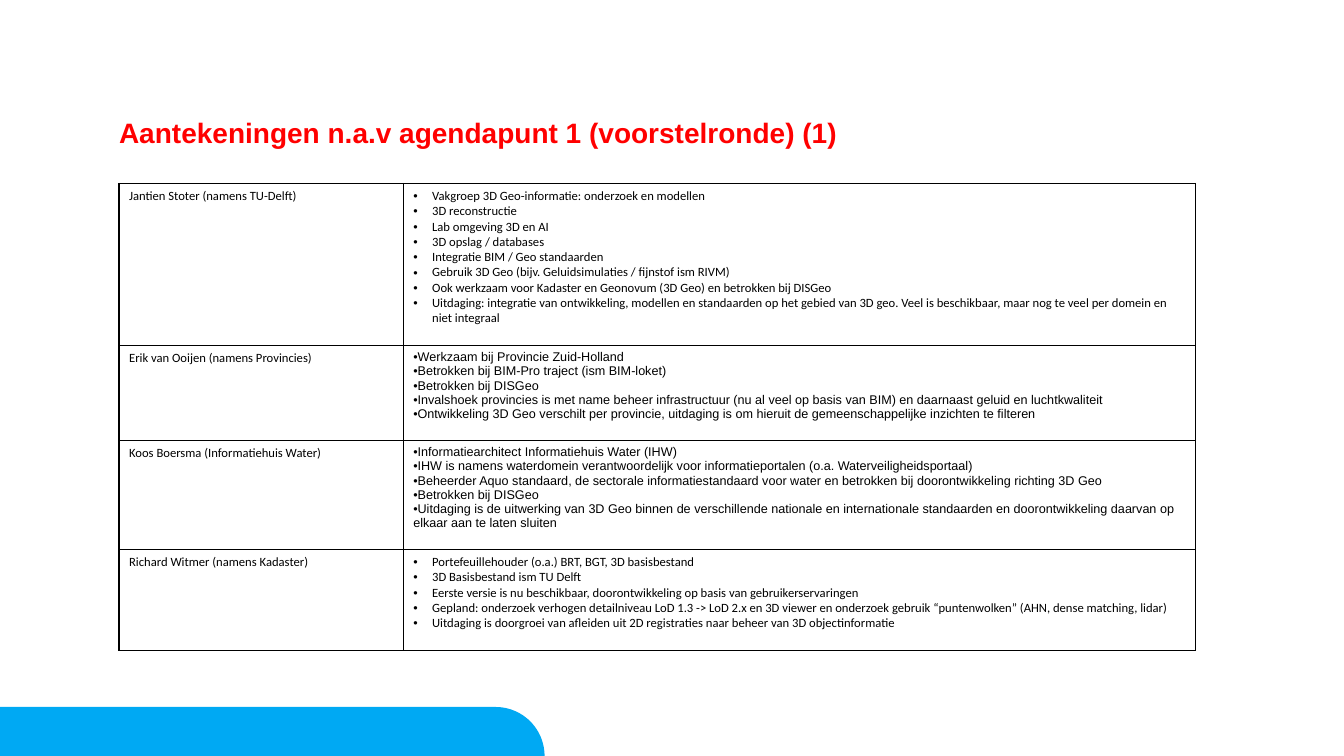
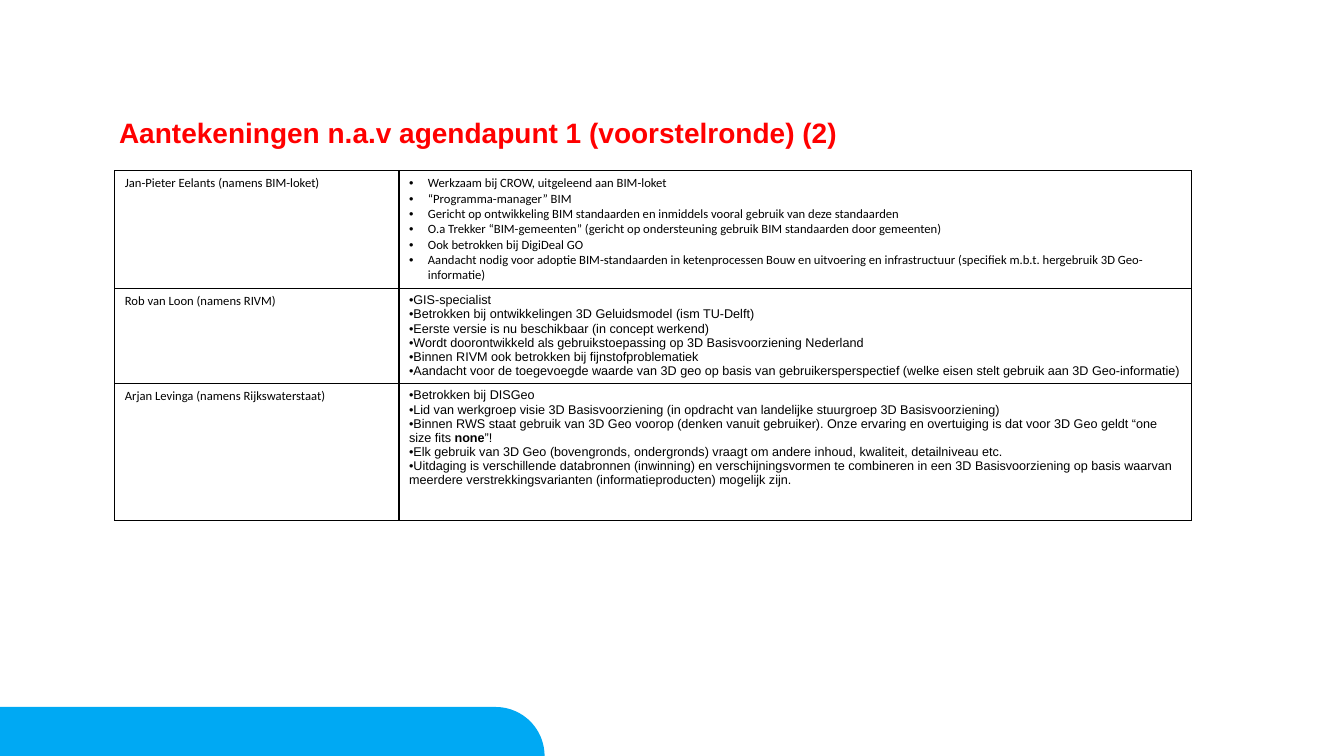
from collections import namedtuple
from math import cos, pi, sin

from lxml.etree import SubElement
from pptx import Presentation
from pptx.dml.color import RGBColor
from pptx.enum.text import MSO_ANCHOR, MSO_AUTO_SIZE, PP_ALIGN
from pptx.oxml.ns import qn
from pptx.util import Pt

Box = namedtuple("Box", "left top width height")
ListStyle = namedtuple("ListStyle", "font margin indent")
Speaker = namedtuple("Speaker", "name style height notes")

PAGE_WIDTH, PAGE_HEIGHT = 960, 540
TITLE_BOX = Box(85, 85, 790, 57)
BAND_BOX = Box(0, 505, 389, 35)
COLUMN_WIDTHS = (203, 566)
RED, BLUE, BLACK = "FF0000", "00A9F3", "000000"
TITLE_FONT, NAME_FONT = "Arial", "Calibri"
TITLE_SIZE, TABLE_SIZE = 20, 9
HANGING = ListStyle("Calibri", 13.5, -13.5)
FLUSH = ListStyle("Arial", 0, -14.4)

FIRST_ROUND = [
    Speaker("Jantien Stoter (namens TU-Delft)", HANGING, 115.7, [
        "Vakgroep 3D Geo-informatie: onderzoek en modellen",
        "3D reconstructie",
        "Lab omgeving 3D en AI",
        "3D opslag / databases",
        "Integratie BIM / Geo standaarden",
        "Gebruik 3D Geo (bijv. Geluidsimulaties / fijnstof ism RIVM)",
        "Ook werkzaam voor Kadaster en Geonovum (3D Geo) en betrokken bij DISGeo",
        "Uitdaging: integratie van ontwikkeling, modellen en standaarden op het gebied van 3D geo. "
        "Veel is beschikbaar, maar nog te veel per domein en niet integraal",
    ]),
    Speaker("Erik van Ooijen (namens Provincies)", FLUSH, 67.9, [
        "Werkzaam bij Provincie Zuid-Holland",
        "Betrokken bij BIM-Pro traject (ism BIM-loket)",
        "Betrokken bij DISGeo",
        "Invalshoek provincies is met name beheer infrastructuur (nu al veel op basis van BIM) "
        "en daarnaast geluid en luchtkwaliteit",
        "Ontwikkeling 3D Geo verschilt per provincie, uitdaging is om hieruit de "
        "gemeenschappelijke inzichten te filteren",
    ]),
    Speaker("Koos Boersma (Informatiehuis Water)", FLUSH, 77.9, [
        "Informatiearchitect Informatiehuis Water (IHW)",
        "IHW is namens waterdomein verantwoordelijk voor informatieportalen "
        "(o.a. Waterveiligheidsportaal)",
        "Beheerder Aquo standaard, de sectorale informatiestandaard voor water en betrokken bij "
        "doorontwikkeling richting 3D Geo",
        "Betrokken bij DISGeo",
        "Uitdaging is de uitwerking van 3D Geo binnen de verschillende nationale en internationale "
        "standaarden en doorontwikkeling daarvan op elkaar aan te laten sluiten",
    ]),
    Speaker("Richard Witmer (namens Kadaster)", HANGING, 72.1, [
        "Portefeuillehouder (o.a.) BRT, BGT, 3D basisbestand",
        "3D Basisbestand ism TU Delft",
        "Eerste versie is nu beschikbaar, doorontwikkeling op basis van gebruikerservaringen",
        "Gepland: onderzoek verhogen detailniveau LoD 1.3 -> LoD 2.x en 3D viewer en onderzoek "
        "gebruik “puntenwolken” (AHN, dense matching, lidar)",
        "Uitdaging is doorgroei van afleiden uit 2D registraties naar beheer van 3D objectinformatie",
    ]),
]

SECOND_ROUND = [
    Speaker("Jan-Pieter Eelants (namens BIM-loket)", HANGING, 84, [
        "Werkzaam bij CROW, uitgeleend aan BIM-loket",
        "“Programma-manager” BIM",
        "Gericht op ontwikkeling BIM standaarden en inmiddels vooral gebruik van deze standaarden",
        "O.a Trekker “BIM-gemeenten” (gericht op ondersteuning gebruik BIM standaarden door gemeenten)",
        "Ook betrokken bij DigiDeal GO",
        "Aandacht nodig voor adoptie BIM-standaarden in ketenprocessen Bouw en uitvoering en "
        "infrastructuur (specifiek m.b.t. hergebruik 3D Geo-informatie)",
    ]),
    Speaker("Rob van Loon (namens RIVM)", FLUSH, 67.9, [
        "GIS-specialist",
        "Betrokken bij ontwikkelingen 3D Geluidsmodel (ism TU-Delft)",
        "Eerste versie is nu beschikbaar (in concept werkend)",
        "Wordt doorontwikkeld als gebruikstoepassing op 3D Basisvoorziening Nederland",
        "Binnen RIVM ook betrokken bij fijnstofproblematiek",
        "Aandacht voor de toegevoegde waarde van 3D geo op basis van gebruikersperspectief "
        "(welke eisen stelt gebruik aan 3D Geo-informatie)",
    ]),
    Speaker("Arjan Levinga (namens Rijkswaterstaat)", FLUSH, 97.9, [
        "Betrokken bij DISGeo",
        "Lid van werkgroep visie 3D Basisvoorziening (in opdracht van landelijke stuurgroep "
        "3D Basisvoorziening)",
        "Binnen RWS staat gebruik van 3D Geo voorop (denken vanuit gebruiker). Onze ervaring en "
        "overtuiging is dat voor 3D Geo geldt “one size fits *none*”!",
        "Elk gebruik van 3D Geo (bovengronds, ondergronds) vraagt om andere inhoud, kwaliteit, "
        "detailniveau etc.",
        "Uitdaging is verschillende databronnen (inwinning) en verschijningsvormen te combineren "
        "in een 3D Basisvoorziening op basis waarvan meerdere verstrekkingsvarianten "
        "(informatieproducten) mogelijk zijn.",
    ]),
]


def paint(color_format, color):
    color_format.rgb = RGBColor.from_string(color)


def add_span(para, text, font, size, color, bold=False):
    span = para.add_run()
    span.text = text
    span.font.name = font
    span.font.size = Pt(size)
    span.font.bold = bold
    paint(span.font.color, color)


def add_band(page, box):
    radius = box.height
    center_x = box.left + box.width - radius
    bottom = box.top + box.height
    angles = [pi / 2 * step / 24 for step in range(25)]
    corner = [(center_x + radius * sin(angle), bottom - radius * cos(angle)) for angle in angles]
    outline = page.shapes.build_freeform(Pt(box.left), Pt(bottom))
    points = [(box.left, box.top)] + corner
    outline.add_line_segments([(Pt(x), Pt(y)) for x, y in points], close=True)
    band = outline.convert_to_shape()
    band.shadow.inherit = False
    band.fill.solid()
    paint(band.fill.fore_color, BLUE)
    band.line.fill.background()


def add_title(page, box, text):
    title = page.shapes.title
    title.left, title.top, title.width, title.height = map(Pt, box)
    frame = title.text_frame
    frame.margin_left = frame.margin_top = frame.margin_right = frame.margin_bottom = 0
    frame.vertical_anchor = MSO_ANCHOR.TOP
    frame.auto_size = MSO_AUTO_SIZE.NONE
    frame.word_wrap = True
    para = frame.paragraphs[0]
    para.alignment = PP_ALIGN.LEFT
    para.line_spacing = 0.9
    add_span(para, text, TITLE_FONT, TITLE_SIZE, RED, bold=True)


def outline_cell(cell):
    cell.fill.background()
    properties = cell._tc.get_or_add_tcPr()
    for position, side in enumerate(("lnL", "lnR", "lnT", "lnB")):
        border = SubElement(properties, qn("a:" + side), w=str(Pt(1)))
        fill = SubElement(border, qn("a:solidFill"))
        SubElement(fill, qn("a:srgbClr"), val=BLACK)
        properties.insert(position, border)


def add_bullet(para, style):
    properties = para._p.get_or_add_pPr()
    properties.set("marL", str(Pt(style.margin)))
    properties.set("indent", str(Pt(style.indent)))
    SubElement(properties, qn("a:buFont"), typeface="Arial")
    SubElement(properties, qn("a:buChar"), char="•")


def fill_notes(cell, speaker):
    frame = cell.text_frame
    for index, note in enumerate(speaker.notes):
        para = frame.add_paragraph() if index else frame.paragraphs[0]
        add_bullet(para, speaker.style)
        for part, text in enumerate(note.split("*")):
            add_span(para, text, speaker.style.font, TABLE_SIZE, BLACK, bold=part % 2 == 1)


def add_speaker_table(page, left, top, speakers):
    height = sum(speaker.height for speaker in speakers)
    box = Box(left, top, sum(COLUMN_WIDTHS), height)
    table = page.shapes.add_table(len(speakers), len(COLUMN_WIDTHS), *map(Pt, box)).table
    table.first_row = table.horz_banding = False
    for column, width in zip(table.columns, COLUMN_WIDTHS):
        column.width = Pt(width)
    for row, speaker in zip(table.rows, speakers):
        row.height = Pt(speaker.height)
        name_cell, notes_cell = row.cells
        add_span(name_cell.text_frame.paragraphs[0], speaker.name, NAME_FONT, TABLE_SIZE, BLACK)
        fill_notes(notes_cell, speaker)
        for cell in (name_cell, notes_cell):
            outline_cell(cell)


def add_notes_page(deck, number, left, top, speakers):
    page = deck.slides.add_slide(deck.slide_layouts.get_by_name("Title Only"))
    add_band(page, BAND_BOX)
    add_title(page, TITLE_BOX, f"Aantekeningen n.a.v agendapunt 1 (voorstelronde) ({number})")
    add_speaker_table(page, left, top, speakers)


def main():
    deck = Presentation()
    deck.slide_width, deck.slide_height = Pt(PAGE_WIDTH), Pt(PAGE_HEIGHT)
    add_notes_page(deck, 1, 85, 131, FIRST_ROUND)
    add_notes_page(deck, 2, 82, 122, SECOND_ROUND)
    deck.save("out.pptx")


if __name__ == "__main__":
    main()
